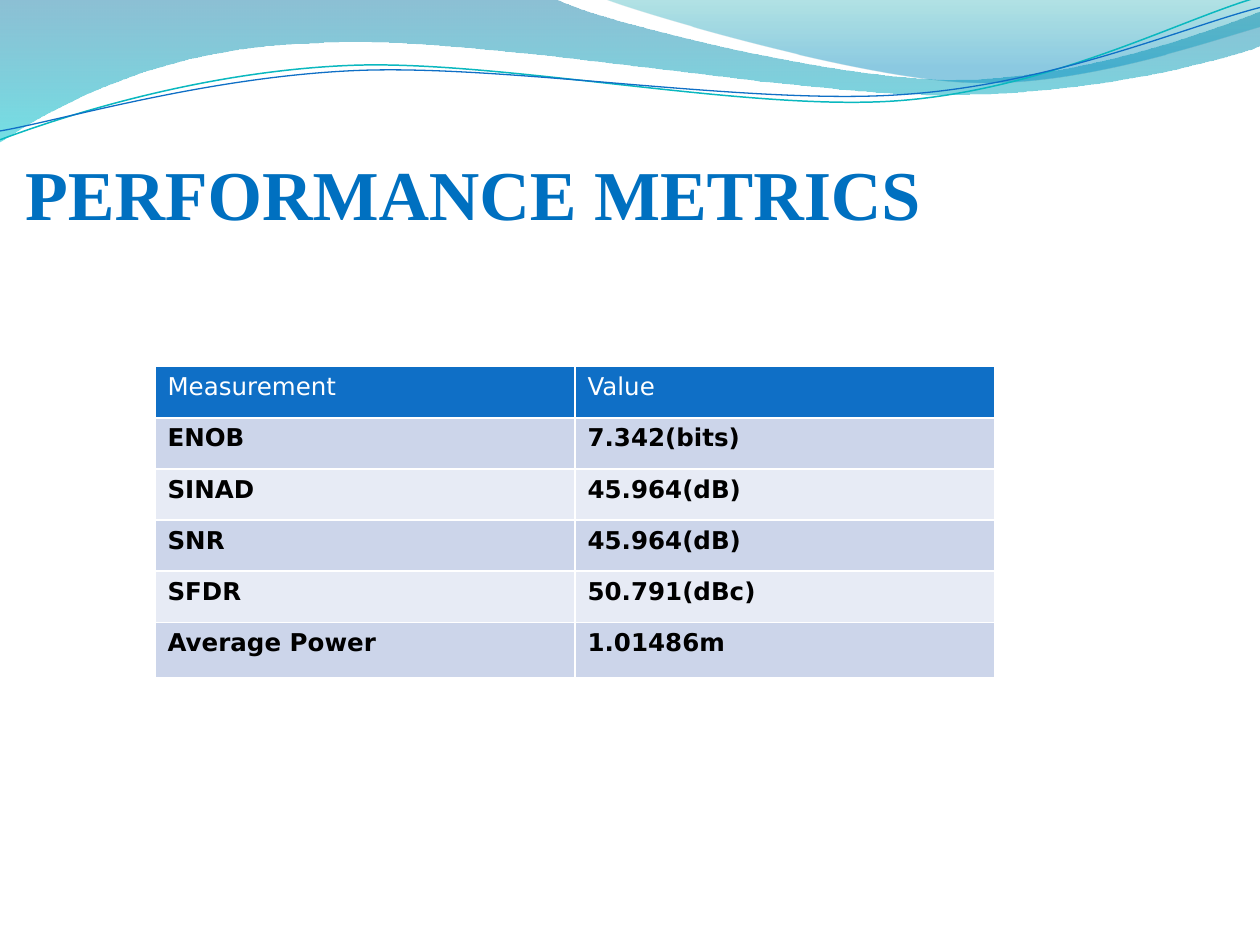
import math

from lxml import etree
from pptx import Presentation
from pptx import util as u
from pptx.dml.color import RGBColor
from pptx.enum import text
from pptx.oxml.ns import qn

W, H = 10, 7.5
TITLE = "PERFORMANCE METRICS"
ROWS = [
    ("Measurement", "Value"),
    ("ENOB", "7.342(bits)"),
    ("SINAD", "45.964(dB)"),
    ("SNR", "45.964(dB)"),
    ("SFDR", "50.791(dBc)"),
    ("Average Power", "1.01486m"),
]
HEADER, BANDS = "0F6FC6", ("CCD5EA", "E7EBF5")

# Outlines in inches: a pair is a line end, six numbers are a cubic curve
WAVE_BANDS = [
    ([(0, 0), (4.4, -0.01), (4.76, 0.17, 6.64, 0.63, 7.58, 0.63),
      (8.53, 0.63, 9.58, 0.26, 10, 0.09), (10.01, 0.36),
      (9.83, 0.44, 8.7, 0.76, 7.46, 0.75), (6.22, 0.75, 3.82, 0.28, 2.57, 0.34),
      (1.29, 0.36, 0.46, 0.83, -0.01, 1.13)],
     [(0, "0074A1", 45), (1, "00C6CF", 55)]),
    ([(4.79, -0.01), (5.09, 0.11, 6.82, 0.62, 7.69, 0.65),
      (8.56, 0.69, 9.61, 0.32, 10, 0.21), (10, 0)],
     [(0, "00A1A9", 30), (0.8, "008BBF", 45)]),
]
WAVE_LINES = [
    ([(0, 1.11), (0.48, 0.93, 1.58, 0.57, 2.77, 0.52),
      (3.95, 0.47, 5.93, 0.89, 7.13, 0.8), (8.33, 0.71, 9.38, 0.15, 9.98, -0.02)],
     "0AB8BF", 0.85),
    ([(0, 1.04), (0.47, 0.96, 1.64, 0.61, 2.83, 0.56),
      (4.03, 0.51, 5.97, 0.84, 7.17, 0.75), (8.36, 0.67, 9.41, 0.21, 10, 0.06)],
     "0F6FC6", 0.75),
]
LINE_TILT = -2.7
LINE_CENTRE = (5, 0.58)


def rgb(color):
    return RGBColor.from_string(color)


def write(tf, words, size, font, color, bold=False):
    r = tf.paragraphs[0].add_run()
    r.text = words
    r.font.size, r.font.name, r.font.bold = u.Pt(size), font, bold
    r.font.color.rgb = rgb(color)


def untilt(x, y, degrees):
    """Place a point as it lies before the shape is rotated."""
    a = math.radians(-degrees)
    cx, cy = LINE_CENTRE
    dx, dy = x - cx, y - cy
    return (cx + dx * math.cos(a) - dy * math.sin(a),
            cy + dx * math.sin(a) + dy * math.cos(a))


def add_outline(s, outline, close, tilt=0):
    parts = []
    for part in outline:
        pairs = zip(part[::2], part[1::2])
        parts.append([tuple(map(u.Inches, untilt(x, y, tilt))) for x, y in pairs])
    ends = [part[-1] for part in parts]
    builder = s.shapes.build_freeform(*ends[0])
    builder.add_line_segments(ends[1:], close=close)
    sp = builder.convert_to_shape()
    sp.shadow.inherit = False
    # Bend the segments that have control points
    segments = list(sp.element.spPr.iter(qn("a:lnTo")))
    for segment, part in zip(segments, parts[1:]):
        if len(part) == 1:
            continue
        curve = etree.Element(qn("a:cubicBezTo"))
        for x, y in part:
            etree.SubElement(curve, qn("a:pt"), x=str(x - sp.left), y=str(y - sp.top))
        segment.getparent().replace(segment, curve)
    sp.rotation = tilt
    return sp


def fill_gradient(sp, stops):
    sp.line.fill.background()
    sp.fill.gradient()
    sp.fill.gradient_angle = 270
    for stop, (position, color, _) in zip(sp.fill.gradient_stops, stops):
        stop.position, stop.color.rgb = position, rgb(color)
    for clr, (_, _, alpha) in zip(sp.element.spPr.iter(qn("a:srgbClr")), stops):
        etree.SubElement(clr, qn("a:alpha")).set("val", str(alpha * 1000))


prs = Presentation()
prs.slide_width, prs.slide_height = u.Inches(W), u.Inches(H)
s = prs.slides.add_slide(prs.slide_layouts[5])

# Wave across the top
for outline, stops in WAVE_BANDS:
    fill_gradient(add_outline(s, outline, True), stops)
for outline, color, width in WAVE_LINES:
    sp = add_outline(s, outline, False, LINE_TILT)
    sp.fill.background()
    sp.line.color.rgb, sp.line.width = rgb(color), u.Pt(width)

# Title, in front of the wave
title = s.shapes.title
s.shapes.element.append(title.element)
title.left, title.top, title.width, title.height = map(u.Inches, (0.2, 0.61, 9.65, 1.25))
tf = title.text_frame
tf.margin_left = tf.margin_right = tf.margin_bottom = 0
tf.margin_top = u.Inches(0.05)
tf.vertical_anchor = text.MSO_ANCHOR.BOTTOM
tf.auto_size = text.MSO_AUTO_SIZE.NONE
tf.paragraphs[0].alignment = text.PP_ALIGN.LEFT
write(tf, TITLE, 40, "Times New Roman", "0070C0", bold=True)

# Table of measurements; its style draws the white borders
table_h, last_h = 2.47, 0.44
row_h = (table_h - last_h) / (len(ROWS) - 1)
table = s.shapes.add_table(
    len(ROWS), 2, u.Inches(1.23), u.Inches(2.91),
    u.Inches(W * 2 / 3), u.Inches(table_h)).table
for i, values in enumerate(ROWS):
    head = i == 0
    table.rows[i].height = u.Inches(last_h if i == len(ROWS) - 1 else row_h)
    for j, value in enumerate(values):
        cell = table.cell(i, j)
        cell.fill.solid()
        cell.fill.fore_color.rgb = rgb(HEADER if head else BANDS[(i - 1) % 2])
        write(cell.text_frame, value, 14, "DejaVu Sans",
              "FFFFFF" if head else "000000", bold=not head)

prs.save("out.pptx")
